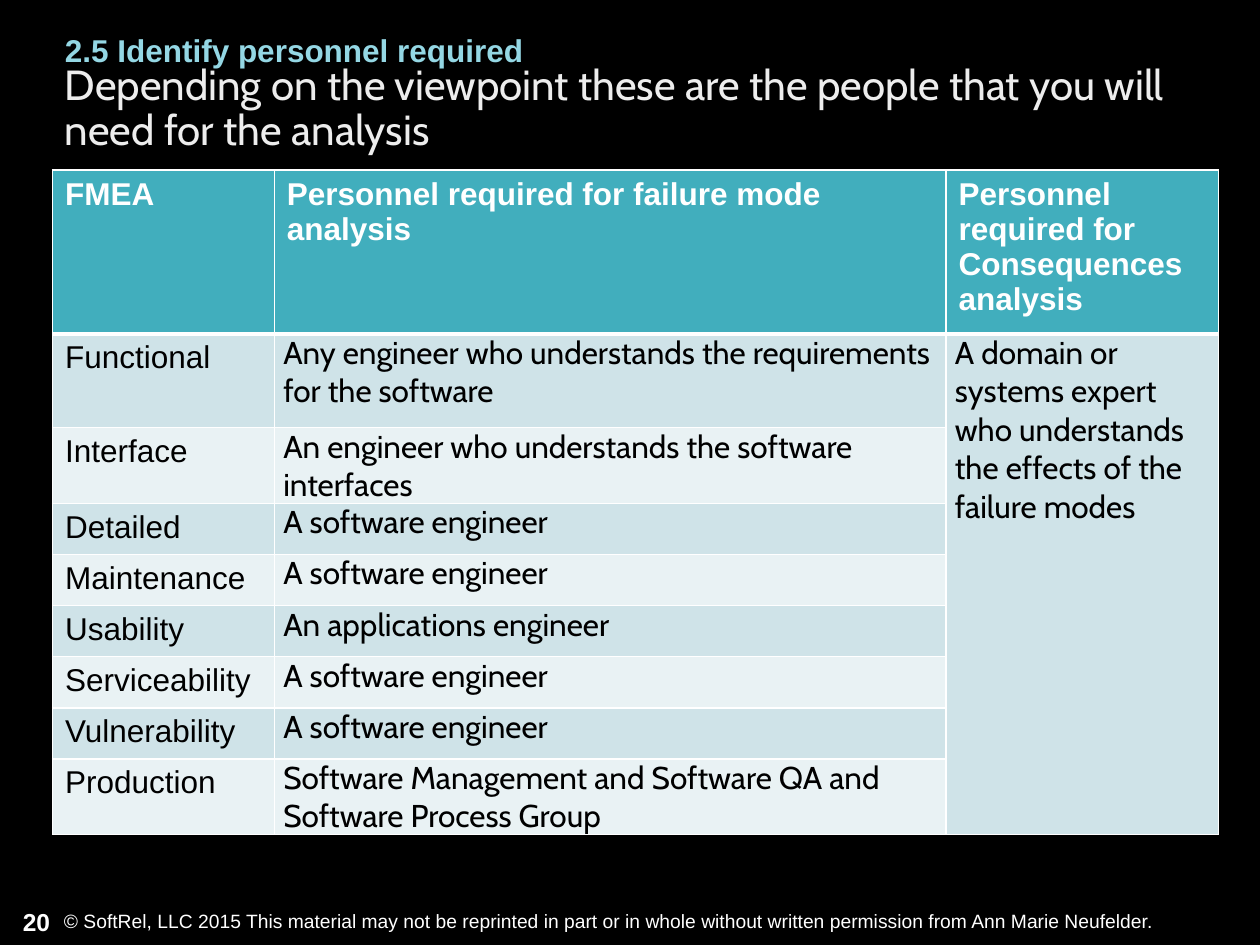
import lxml.etree
import pptx
import pptx.dml.color
import pptx.enum.text
import pptx.oxml.ns
import pptx.util

Cm = pptx.util.Cm
Pt = pptx.util.Pt
RGBColor = pptx.dml.color.RGBColor
ANCHOR = pptx.enum.text.MSO_ANCHOR
ALIGN = pptx.enum.text.PP_ALIGN

BLACK = RGBColor(0x00, 0x00, 0x00)
WHITE = RGBColor(0xFF, 0xFF, 0xFF)
TITLE_GRAY = RGBColor(0xED, 0xED, 0xED)
SKY = RGBColor(0x94, 0xD7, 0xE4)
TEAL = RGBColor(0x41, 0xAE, 0xBD)
BAND_DARK = RGBColor(0xCF, 0xE3, 0xE8)
BAND_LIGHT = RGBColor(0xE9, 0xF2, 0xF4)

HEADERS = [
    "FMEA",
    "Personnel required for failure mode analysis",
    "Personnel required for Consequences analysis",
]
PERSONNEL = [
    ("Functional", "Any engineer who understands the requirements for the software"),
    ("Interface", "An engineer who understands the software interfaces"),
    ("Detailed", "A software engineer"),
    ("Maintenance", "A software engineer"),
    ("Usability", "An applications engineer"),
    ("Serviceability", "A software engineer"),
    ("Vulnerability", "A software engineer"),
    ("Production", "Software Management and Software QA and Software Process Group"),
]
CONSEQUENCES = "A domain or systems expert who understands the effects of the failure modes"
COLUMN_WIDTHS = [4.47, 13.54, 5.49]
ROW_HEIGHTS = [3.3, 1.89, 1.51] + [1.03] * 5 + [1.51]


def add_run(p, text, size, color, font="Arial", bold=False):
    r = p.add_run()
    r.text = text
    r.font.size = Pt(size)
    r.font.name = font
    r.font.bold = bold
    r.font.color.rgb = color


def add_text(s, box, text, size, color, font="Arial", bold=False,
             anchor=ANCHOR.TOP, align=ALIGN.LEFT, spacing=None):
    tf = s.shapes.add_textbox(*[Cm(v) for v in box]).text_frame
    tf.word_wrap = True
    tf.vertical_anchor = anchor
    p = tf.paragraphs[0]
    p.alignment = align
    p.line_spacing = spacing
    add_run(p, text, size, color, font, bold)


def set_borders(cell, widths):
    tc_pr = cell._tc.get_or_add_tcPr()
    for side, width in widths.items():
        ln = lxml.etree.SubElement(tc_pr, pptx.oxml.ns.qn(f"a:ln{side}"), w=str(Pt(width)))
        fill = lxml.etree.SubElement(ln, pptx.oxml.ns.qn("a:solidFill"))
        lxml.etree.SubElement(fill, pptx.oxml.ns.qn("a:srgbClr"), val=str(WHITE))


def style_cell(cell, fill, top=1, bottom=1):
    set_borders(cell, {"L": 1, "R": 1, "T": top, "B": bottom})
    cell.fill.solid()
    cell.fill.fore_color.rgb = fill


def fill_description(cell, text):
    cell.margin_left = cell.margin_right = Cm(0.18)
    cell.margin_top = cell.margin_bottom = 0
    add_run(cell.text_frame.paragraphs[0], text, 18, BLACK, "Cabin")


def add_personnel_table(s):
    frame = s.shapes.add_table(
        len(ROW_HEIGHTS), len(COLUMN_WIDTHS), Cm(1.06), Cm(3.43),
        Cm(sum(COLUMN_WIDTHS)), Cm(sum(ROW_HEIGHTS)))
    table = frame.table
    for column, width in zip(table.columns, COLUMN_WIDTHS):
        column.width = Cm(width)
    for row, height in zip(table.rows, ROW_HEIGHTS):
        row.height = Cm(height)

    for col, text in enumerate(HEADERS):
        cell = table.cell(0, col)
        style_cell(cell, TEAL, bottom=3)
        add_run(cell.text_frame.paragraphs[0], text, 18, WHITE, bold=True)

    for row, (analysis, people) in enumerate(PERSONNEL, start=1):
        band = BAND_DARK if row % 2 else BAND_LIGHT
        for col, fill in enumerate([band, band, BAND_DARK]):
            style_cell(table.cell(row, col), fill, top=3 if row == 1 else 1)
        add_run(table.cell(row, 0).text_frame.paragraphs[0], analysis, 18, BLACK)
        fill_description(table.cell(row, 1), people)

    table.cell(1, 2).merge(table.cell(len(PERSONNEL), 2))
    fill_description(table.cell(1, 2), CONSEQUENCES)


def main():
    prs = pptx.Presentation()
    prs.slide_width = Cm(25.4)
    prs.slide_height = Cm(19.05)
    s = prs.slides.add_slide(prs.slide_layouts[6])
    s.background.fill.solid()
    s.background.fill.fore_color.rgb = BLACK

    add_text(s, (0, 18.16, 1.47, 0.84), "20", 14, WHITE, bold=True,
             anchor=ANCHOR.MIDDLE, align=ALIGN.CENTER)
    add_text(s, (1.06, 1.47, 24.33, 1.47),
             "Depending on the viewpoint these are the people that you will need for the analysis",
             24, TITLE_GRAY, "Cabin", anchor=ANCHOR.MIDDLE, spacing=0.9)
    add_text(s, (1.06, 0.51, 15.44, 1.02), "2.5 Identify personnel required",
             18, SKY, bold=True)
    add_personnel_table(s)
    add_text(s, (1.04, 18.21, 24.33, 0.74),
             "© SoftRel, LLC 2015 This material may not be reprinted in part or in whole "
             "without written permission from Ann Marie Neufelder.", 11, WHITE)
    prs.save("out.pptx")


if __name__ == "__main__":
    main()
